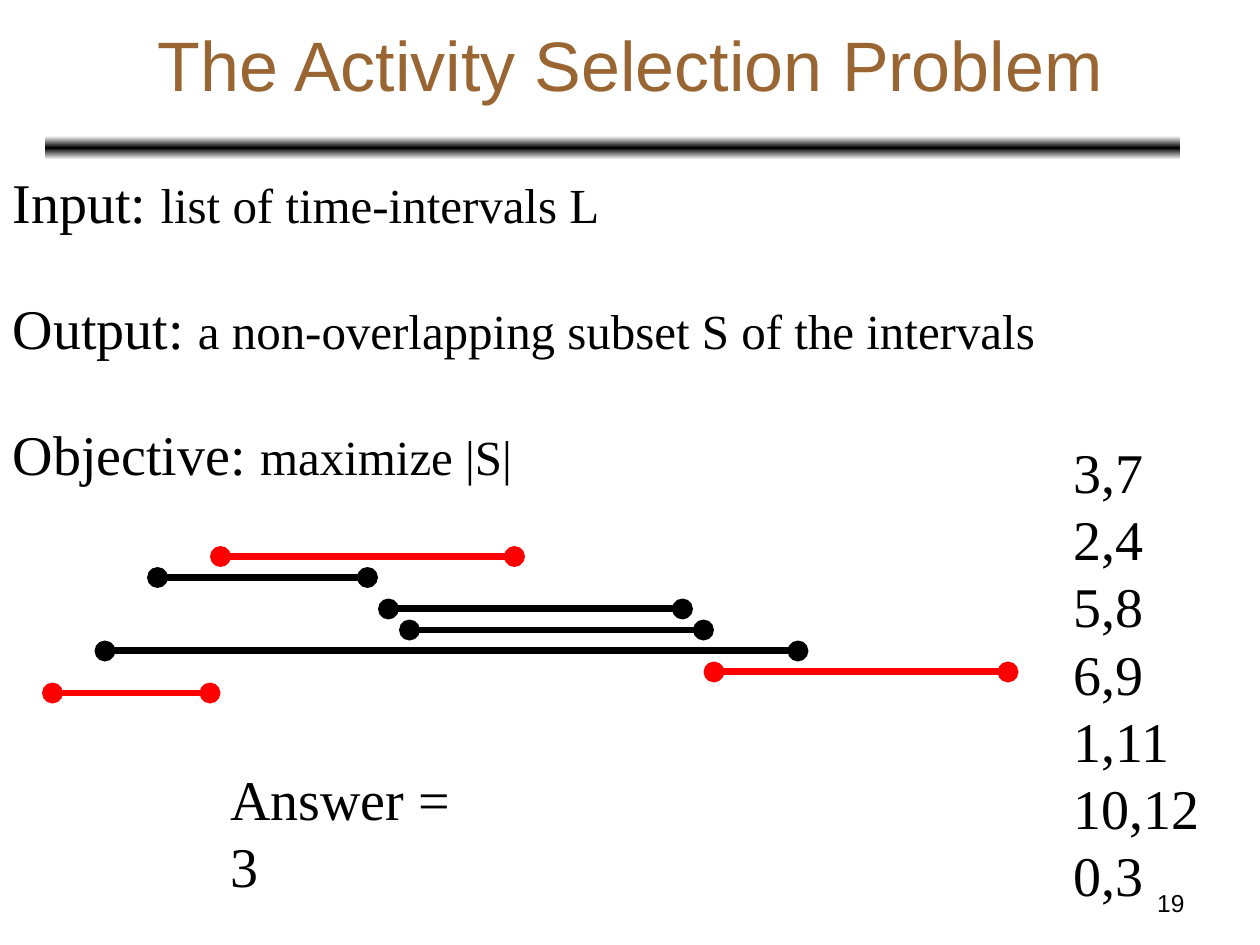
from copy import deepcopy

from lxml import etree
from pptx import Presentation
from pptx.dml.color import RGBColor
from pptx.enum.shapes import MSO_CONNECTOR, MSO_SHAPE
from pptx.enum.text import MSO_ANCHOR, MSO_AUTO_SIZE, PP_ALIGN
from pptx.oxml.ns import qn
from pptx.util import Cm, Pt

LINE = MSO_CONNECTOR.STRAIGHT
ROUND = MSO_SHAPE.ROUNDED_RECTANGLE
TOP, MIDDLE = MSO_ANCHOR.TOP, MSO_ANCHOR.MIDDLE
FIXED = MSO_AUTO_SIZE.NONE
LEFT, CENTER, RIGHT = PP_ALIGN.LEFT, PP_ALIGN.CENTER, PP_ALIGN.RIGHT

HUES = {"black": "000000", "white": "FFFFFF", "red": "FF0000", "brown": "996633"}
SANS, SERIF = "Arial", "Times New Roman"
GRID = 2.54 / 12  # the intervals lie on a grid of twelve units to the inch


def place(shape, box, anchor=TOP):
    sides = ("left", "top", "width", "height")
    for side, size in zip(sides, box):
        setattr(shape, side, Cm(size))
    frame = shape.text_frame
    form = {"word_wrap": True, "auto_size": FIXED, "vertical_anchor": anchor}
    for name, value in form.items():
        setattr(frame, name, value)
    return frame


def write(frame, rows, font=SERIF, hue="black", **form):
    """Fill the frame with rows, each a list of (text, size) runs."""
    for i, row in enumerate(rows):
        para = frame.paragraphs[0] if i == 0 else frame.add_paragraph()
        look = {"alignment": LEFT, "space_before": Pt(0), **form}
        for name, value in look.items():
            setattr(para, name, value)
        props = para._p.get_or_add_pPr()
        props.set("marL", "0")
        props.set("indent", "0")
        etree.SubElement(props, qn("a:buNone"))
        for text, size in row:
            run = para.add_run()
            run.text = text
            run.font.name, run.font.size = font, Pt(size)
            run.font.color.rgb = RGBColor.from_string(HUES[hue])


deck = Presentation()
deck.slide_width, deck.slide_height = Cm(25.4), Cm(19.05)
slide = deck.slides.add_slide(deck.slide_layouts[3])
shapes = slide.shapes
title, goals, pairs = slide.placeholders

# Rule under the title
bar = shapes.add_shape(ROUND, Cm(0.91), Cm(2.74), Cm(22.89), Cm(0.48))
bar.shadow.inherit = False
bar.line.fill.background()
bar.fill.gradient()
bar.fill.gradient_angle = 90
stops = bar._element.spPr.find(".//" + qn("a:gsLst"))
stops.append(deepcopy(stops[0]))
for stop, spot, hue in zip(bar.fill.gradient_stops, (0, 0.5, 1), ("white", "black", "white")):
    stop.position = spot
    stop.color.rgb = RGBColor.from_string(HUES[hue])

# Title and problem statement
frame = place(title, (1.91, 0.43, 21.59, 1.7), MIDDLE)
write(frame, [[("The Activity Selection Problem", 40)]], SANS, "brown", alignment=CENTER)

terms = {
    "Input: ": "list of time-intervals L",
    "Output: ": "a non-overlapping subset S of the intervals",
    "Objective: ": "maximize |S|",
}
rows = [[(term, 32), (text, 28)] for term, text in terms.items()]
frame = place(goals, (0, 3.25, 21.13, 7.95))
write(frame, rows, line_spacing=Pt(38.4), space_after=Pt(33.6))

# Intervals: start, end and height in grid units
spans = [
    (21, 49, 53, "red"),
    (15, 35, 55, "black"),
    (37, 65, 58, "black"),
    (10, 76, 62, "black"),
    (68, 96, 64, "red"),
    (39, 67, 60, "black"),
    (5, 20, 66, "red"),
]
for start, end, row, hue in spans:
    x, y, stop = (Cm(n * GRID) for n in (start, row, end))
    span = shapes.add_connector(LINE, x, y, stop, y)
    span.line.width = Pt(4)
    span.line.color.rgb = RGBColor.from_string(HUES[hue])
    edge = span.line._get_or_add_ln()
    for tip in ("a:headEnd", "a:tailEnd"):
        etree.SubElement(edge, qn(tip), type="oval")
    etree.SubElement(span._element.spPr, qn("a:effectLst"))

# Interval list
times = ["3,7", "2,4", "5,8", "6,9", "1,11", "10,12", "0,3"]
frame = place(pairs, (21.39, 8.69, 3.3, 9.83))
write(frame, [[(time, 32)] for time in times], line_spacing=Pt(38.4))

# Answer and page number
box = shapes.add_textbox(0, 0, 0, 0)
frame = place(box, (4.39, 15.29, 5.6, 1.63))
write(frame, [[("Answer = 3", 32)]], line_spacing=Pt(38.4))

box = shapes.add_textbox(0, 0, 0, 0)
frame = place(box, (18.21, 17.78, 5.92, 0.89))
write(frame, [[("19", 14)]], SANS, alignment=RIGHT)

deck.save("out.pptx")
